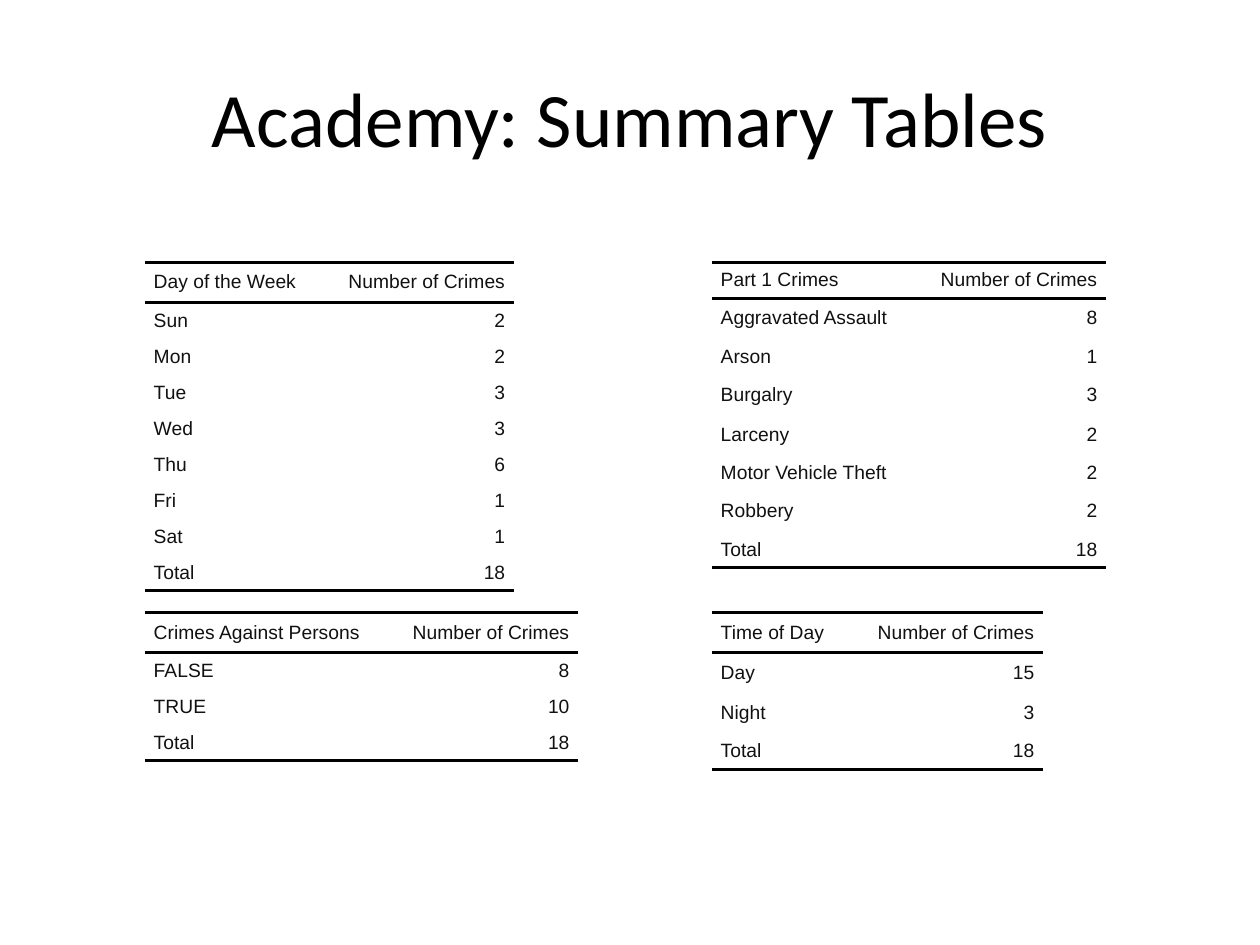
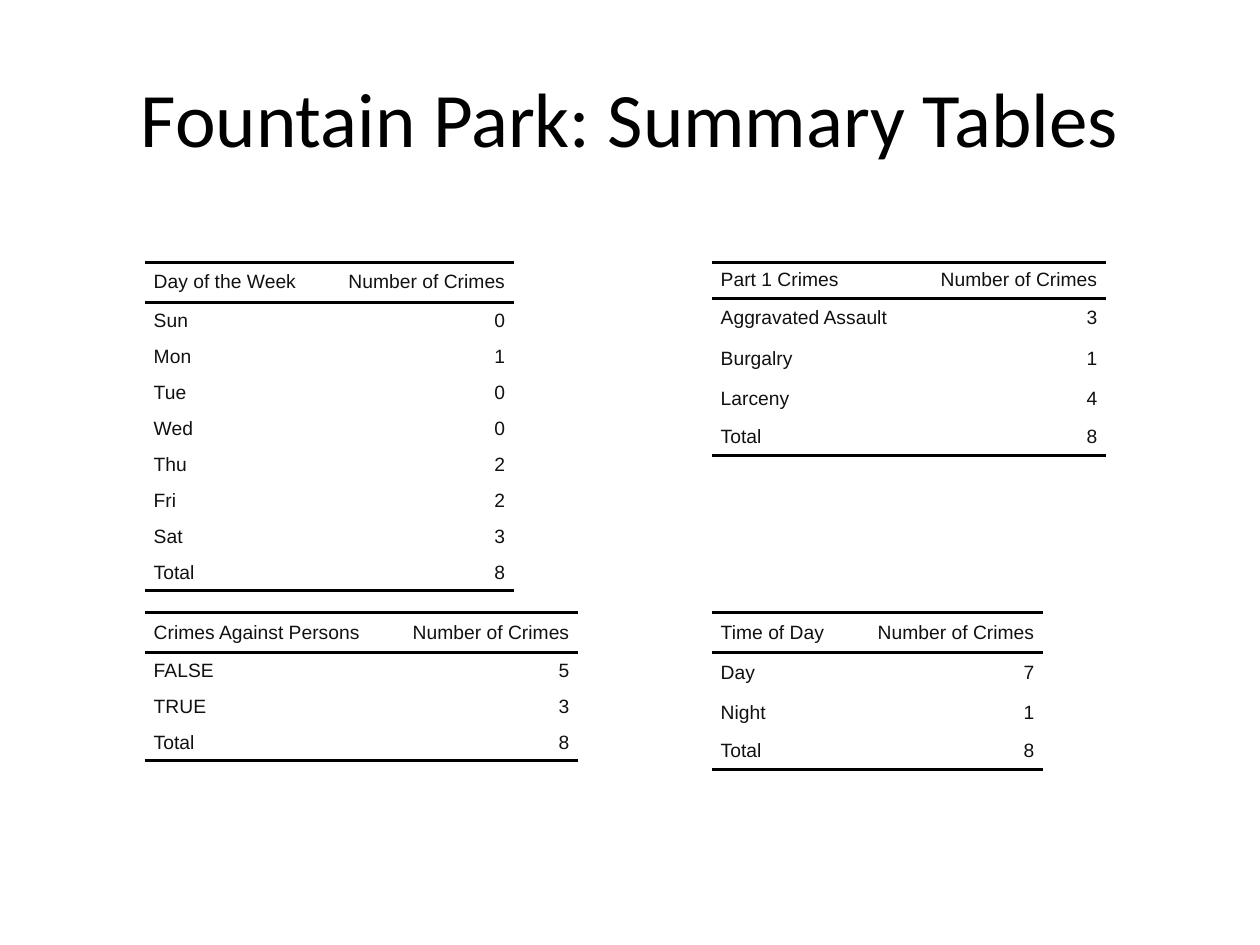
from dataclasses import dataclass

from lxml import etree
from pptx import Presentation
from pptx import util as u
from pptx.dml.color import RGBColor
from pptx.enum import text
from pptx.oxml import ns


@dataclass(frozen=True)
class Theme:
    title: dict
    cell: dict
    rule_color: str = "000000"
    rule_width: int = u.Pt(2)
    cell_indent: int = u.Inches(0.07)
    plain_table: str = "{2D5ABB26-0587-4C30-8999-92F81FD0307C}"


THEME = Theme(
    title={"name": "Calibri", "size": u.Pt(44), "color": RGBColor(0, 0, 0)},
    cell={"name": "Arial", "size": u.Pt(11), "color": RGBColor(0x11, 0x11, 0x11)},
)
SHORT, TALL = 2.29 / 8, 0.32  # the eight rows below the weekday header share 2.29
LEFT, RIGHT = 1.15, 5.65
UPPER, LOWER = 2.08, 4.86
COUNT_WIDTH = 1.52

# heading: left, top, label column width
PLACES = {
    "Part 1 Crimes": (RIGHT, UPPER, 1.61),
    "Day of the Week": (LEFT, UPPER, 1.41),
    "Crimes Against Persons": (LEFT, LOWER, 1.92),
    "Time of Day": (RIGHT, LOWER, 1.11),
}
TALL_ROWS = {
    "Day of the Week": {0},
    "Crimes Against Persons": {0},
    "Time of Day": {0, 1, 2},
}
DAYS = ["Sun", "Mon", "Tue", "Wed", "Thu", "Fri", "Sat"]

AREAS = [
    {
        "name": "Academy",
        "tall crime rows": {1, 3, 4, 6},
        "Part 1 Crimes": {
            "Aggravated Assault": 8, "Arson": 1, "Burgalry": 3,
            "Larceny": 2, "Motor Vehicle Theft": 2, "Robbery": 2,
        },
        "Day of the Week": dict(zip(DAYS, [2, 2, 3, 3, 6, 1, 1])),
        "Crimes Against Persons": {"FALSE": 8, "TRUE": 10},
        "Time of Day": {"Day": 15, "Night": 3},
    },
    {
        "name": "Fountain Park",
        "tall crime rows": {1, 2, 3},
        "Part 1 Crimes": {"Aggravated Assault": 3, "Burgalry": 1, "Larceny": 4},
        "Day of the Week": dict(zip(DAYS, [0, 1, 0, 0, 2, 2, 3])),
        "Crimes Against Persons": {"FALSE": 5, "TRUE": 3},
        "Time of Day": {"Day": 7, "Night": 1},
    },
]


def write(para, content, style, align):
    para.alignment = align
    span = para.add_run()
    span.text = content
    for key, value in style.items():
        if key == "color":
            span.font.color.rgb = value
        else:
            setattr(span.font, key, value)


def draw_rule(cell, side):
    """Draw a heavy line on the top ("T") or bottom ("B") of a cell."""
    properties = cell._tc.get_or_add_tcPr()
    line = etree.SubElement(properties, ns.qn(f"a:ln{side}"), w=str(THEME.rule_width))
    fill = etree.SubElement(line, ns.qn("a:solidFill"))
    etree.SubElement(fill, ns.qn("a:srgbClr"), val=THEME.rule_color)


deck = Presentation()
deck.slide_width, deck.slide_height = u.Inches(10), u.Inches(7.5)

for area in AREAS:
    page = deck.slides.add_slide(deck.slide_layouts[6])

    box = page.shapes.add_textbox(u.Inches(0.5), u.Inches(0.3), u.Inches(9), u.Inches(1.25))
    frame = box.text_frame
    frame.word_wrap = True
    frame.vertical_anchor = text.MSO_ANCHOR.MIDDLE
    write(frame.paragraphs[0], f"{area['name']}: Summary Tables", THEME.title,
          text.PP_ALIGN.CENTER)

    for heading, (left, top, label_width) in PLACES.items():
        counts = area[heading]
        rows = [(heading, "Number of Crimes"), *counts.items(), ("Total", sum(counts.values()))]
        tall_rows = TALL_ROWS.get(heading, area["tall crime rows"])
        heights = [TALL if index in tall_rows else SHORT for index in range(len(rows))]

        table = page.shapes.add_table(
            len(rows), 2, u.Inches(left), u.Inches(top),
            u.Inches(label_width + COUNT_WIDTH), u.Inches(sum(heights)),
        ).table
        table.first_row = table.horz_banding = False
        table._tbl.tblPr.find(ns.qn("a:tableStyleId")).text = THEME.plain_table
        for column, width in zip(table.columns, (label_width, COUNT_WIDTH)):
            column.width = u.Inches(width)

        for row_index, (row, height) in enumerate(zip(rows, heights)):
            table.rows[row_index].height = u.Inches(height)
            for column_index, value in enumerate(row):
                cell = table.cell(row_index, column_index)
                for side in ("left", "right", "top", "bottom"):
                    setattr(cell, f"margin_{side}", 0)
                cell.vertical_anchor = text.MSO_ANCHOR.MIDDLE
                if row_index == 0:
                    draw_rule(cell, "T")
                if row_index in (0, len(rows) - 1):
                    draw_rule(cell, "B")
                cell.fill.background()

                para = cell.text_frame.paragraphs[0]
                indents = para._p.get_or_add_pPr()
                for margin in ("marL", "marR"):
                    indents.set(margin, str(THEME.cell_indent))
                align = text.PP_ALIGN.RIGHT if column_index else text.PP_ALIGN.LEFT
                write(para, str(value), THEME.cell, align)

deck.save("out.pptx")
